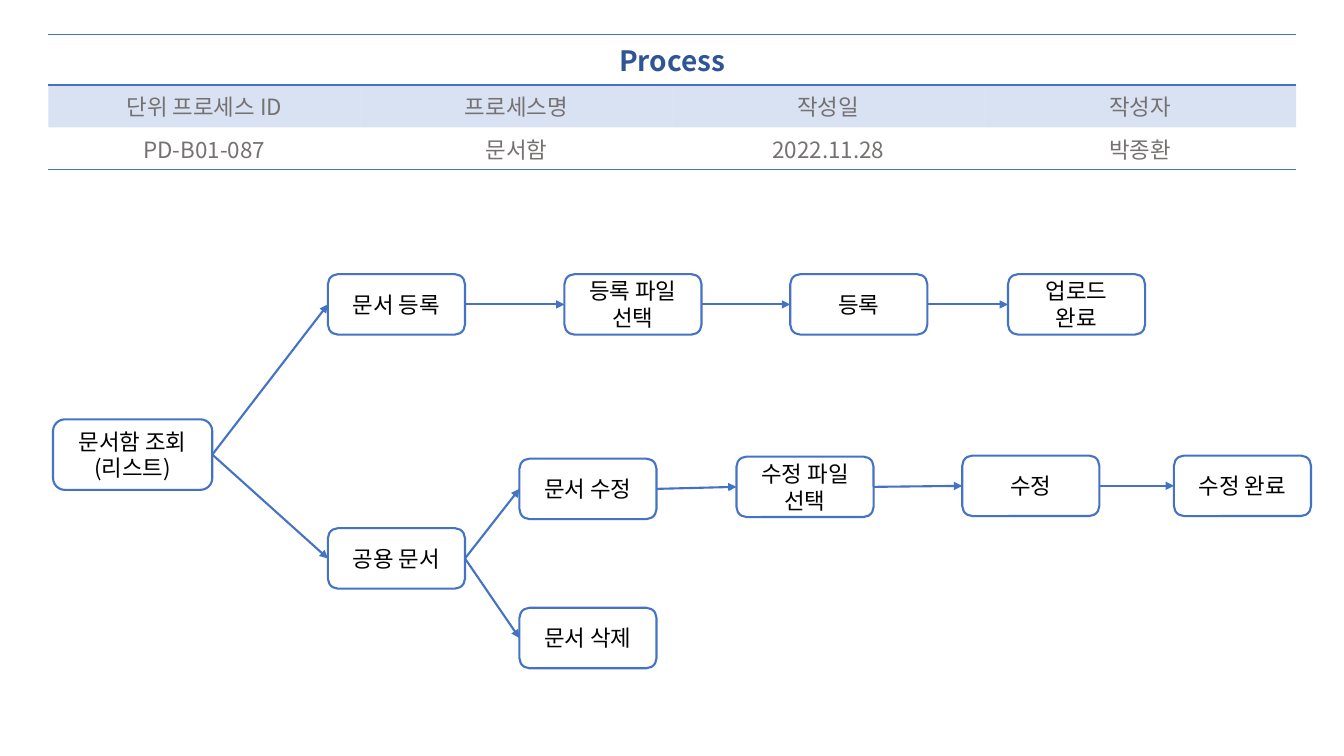
import dataclasses

import lxml.etree
import pptx
import pptx.dml.color
import pptx.enum.shapes
import pptx.enum.text
import pptx.oxml.ns
import pptx.util

LEFT_SITE, RIGHT_SITE = 1, 3
PLAIN_TABLE_STYLE = "{2D5ABB26-0587-4C30-8999-92F81FD0307C}"


@dataclasses.dataclass(frozen=True)
class Theme:
    font: str = "Noto Sans CJK KR"
    accent: str = "4472C4"
    heading: str = "2F5597"
    muted: str = "767171"
    ink: str = "000000"
    paper: str = "FFFFFF"
    heading_size: int = 20
    body_size: int = 16
    line_width: float = 1.5
    rule_width: float = 1


@dataclasses.dataclass(frozen=True)
class Grid:
    """A grid of 100 columns by 100 rows over the slide."""
    width: int
    height: int

    def x(self, columns):
        return round(self.width * columns / 100)

    def y(self, rows):
        return round(self.height * rows / 100)


THEME = Theme()
GRID = Grid(pptx.util.Inches(13.33), pptx.util.Inches(7.5))

TABLE_LEFT, TABLE_TOP, TABLE_WIDTH = 3.6, 4.53, 92.85
TABLE_ROWS = (6.13, 5.07, 5.07)
HEADERS = ("단위 프로세스 ID", "프로세스명", "작성일", "작성자")
VALUES = ("PD-B01-087", "문서함", "2022.11.28", "박종환")

STEP_SIZE = (10.2, 8)
START_SIZE = (11.85, 9.33)
REGISTER_ROW, EDIT_ROW = 36.27, 60.27

# Key: label lines, left column, top row, size
STEPS = {
    "list": (("문서함 조회", "(리스트)"), 3.95, 55.47, START_SIZE),
    "register": (("문서 등록",), 24.4, REGISTER_ROW, STEP_SIZE),
    "register file": (("등록 파일", "선택"), 42, REGISTER_ROW, STEP_SIZE),
    "register submit": (("등록",), 58.8, REGISTER_ROW, STEP_SIZE),
    "upload done": (("업로드", "완료"), 75, REGISTER_ROW, STEP_SIZE),
    "shared": (("공용 문서",), 24.4, 69.87, STEP_SIZE),
    "edit": (("문서 수정",), 38.65, 60.67, STEP_SIZE),
    "edit file": (("수정 파일", "선택"), 54.8, 60.4, STEP_SIZE),
    "edit submit": (("수정",), 71.6, EDIT_ROW, STEP_SIZE),
    "edit done": (("수정 완료",), 87.35, EDIT_ROW, STEP_SIZE),
    "delete": (("문서 삭제",), 38.65, 80.4, STEP_SIZE),
}
FLOWS = (
    ("list", "register", "register file", "register submit", "upload done"),
    ("list", "shared", "edit", "edit file", "edit submit", "edit done"),
    ("shared", "delete"),
)


def color(value):
    return pptx.dml.color.RGBColor.from_string(value)


def add_element(parent, tag, **attributes):
    return lxml.etree.SubElement(parent, pptx.oxml.ns.qn(tag), attributes)


def write_lines(text_frame, lines, size, text_color, bold=False):
    for index, line in enumerate(lines):
        paragraph = text_frame.paragraphs[0] if index == 0 else text_frame.add_paragraph()
        paragraph.alignment = pptx.enum.text.PP_ALIGN.CENTER
        run = paragraph.add_run()
        run.text = line
        run.font.name = THEME.font
        run.font.size = pptx.util.Pt(size)
        run.font.bold = bold
        run.font.color.rgb = color(text_color)
        add_element(run.font._element, "a:ea", typeface=THEME.font)


def add_border(cell, tag):
    properties = cell._tc.get_or_add_tcPr()
    line = add_element(properties, tag, w=str(pptx.util.Pt(THEME.rule_width)))
    fill = add_element(line, "a:solidFill")
    add_element(fill, "a:srgbClr", val=THEME.accent)
    properties.insert(0, line)  # borders come before the cell's fill


def tint(cell):
    cell.fill.solid()
    cell.fill.fore_color.rgb = color(THEME.accent)
    accent = cell._tc.tcPr.find(".//" + pptx.oxml.ns.qn("a:srgbClr"))
    add_element(accent, "a:alpha", val="20000")


def add_process_table(slide):
    frame = slide.shapes.add_table(
        len(TABLE_ROWS), len(HEADERS), GRID.x(TABLE_LEFT), GRID.y(TABLE_TOP),
        GRID.x(TABLE_WIDTH), GRID.y(sum(TABLE_ROWS)))
    table = frame.table
    table.horz_banding = False
    table._tbl.tblPr.find(pptx.oxml.ns.qn("a:tableStyleId")).text = PLAIN_TABLE_STYLE
    for row, height in zip(table.rows, TABLE_ROWS):
        row.height = GRID.y(height)
    for column, (header, value) in enumerate(zip(HEADERS, VALUES)):
        top, middle, bottom = (table.cell(row, column) for row in range(3))
        top.fill.background()
        add_border(top, "a:lnB")
        add_border(top, "a:lnT")
        tint(middle)
        bottom.fill.background()
        add_border(bottom, "a:lnB")
        for cell, text in ((middle, header), (bottom, value)):
            write_lines(cell.text_frame, (text,), THEME.body_size, THEME.muted)
    title = table.cell(0, 0)
    title.merge(table.cell(0, len(HEADERS) - 1))
    write_lines(title.text_frame, ("Process",), THEME.heading_size, THEME.heading, bold=True)


def add_step(slide, lines, left, top, size):
    width, height = size
    shape = slide.shapes.add_shape(
        pptx.enum.shapes.MSO_SHAPE.ROUNDED_RECTANGLE,
        GRID.x(left), GRID.y(top), GRID.x(width), GRID.y(height))
    shape.shadow.inherit = False
    shape.fill.solid()
    shape.fill.fore_color.rgb = color(THEME.paper)
    shape.line.color.rgb = color(THEME.accent)
    shape.line.width = pptx.util.Pt(THEME.line_width)
    shape.text_frame.word_wrap = True
    shape.text_frame.vertical_anchor = pptx.enum.text.MSO_ANCHOR.MIDDLE
    write_lines(shape.text_frame, lines, THEME.body_size, THEME.ink)
    return shape


def add_arrow(slide, source, target):
    connector = slide.shapes.add_connector(
        pptx.enum.shapes.MSO_CONNECTOR.STRAIGHT, 0, 0, 0, 0)
    connector.begin_connect(source, RIGHT_SITE)
    connector.end_connect(target, LEFT_SITE)
    connector.line.color.rgb = color(THEME.accent)
    connector.line.width = pptx.util.Pt(THEME.line_width)
    add_element(connector.line._get_or_add_ln(), "a:tailEnd", type="triangle")
    add_element(connector._element.spPr, "a:effectLst")


def main():
    presentation = pptx.Presentation()
    presentation.slide_width = GRID.width
    presentation.slide_height = GRID.height
    blank_layout = presentation.slide_layouts[6]
    slide = presentation.slides.add_slide(blank_layout)
    add_process_table(slide)
    steps = {name: add_step(slide, *step) for name, step in STEPS.items()}
    for flow in FLOWS:
        for source, target in zip(flow, flow[1:]):
            add_arrow(slide, steps[source], steps[target])
    presentation.save("out.pptx")


if __name__ == "__main__":
    main()
